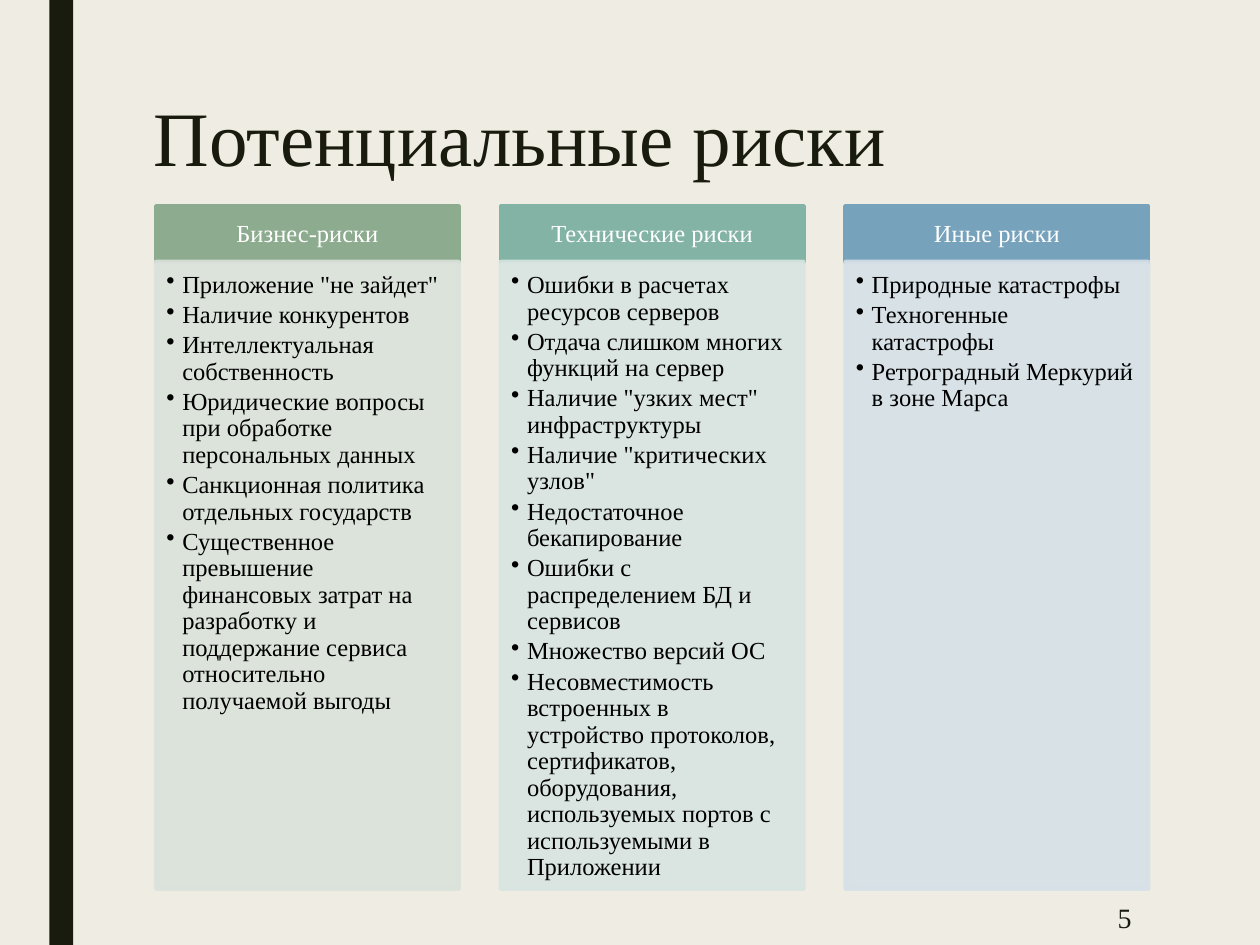
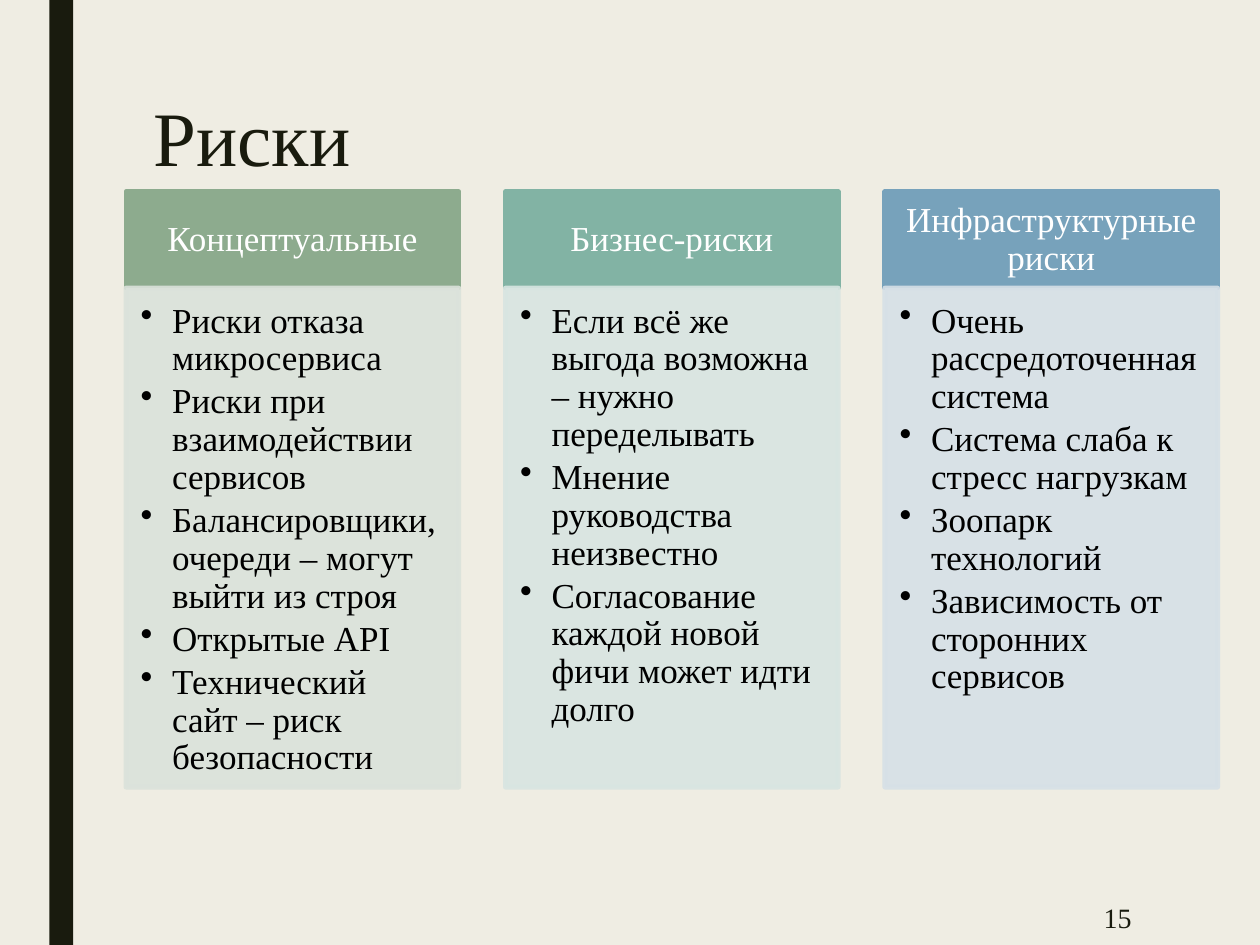
"""Build two slides that sort project risks into columns."""
from dataclasses import dataclass

from lxml import etree
from pptx import Presentation
from pptx.dml.color import RGBColor
from pptx.enum.shapes import MSO_SHAPE
from pptx.enum.text import MSO_ANCHOR, MSO_AUTO_SIZE, PP_ALIGN
from pptx.oxml.ns import qn
from pptx.util import Pt

RECT = MSO_SHAPE.RECTANGLE
TOP, MIDDLE = MSO_ANCHOR.TOP, MSO_ANCHOR.MIDDLE
LEFT, CENTER, RIGHT = PP_ALIGN.LEFT, PP_ALIGN.CENTER, PP_ALIGN.RIGHT
NO_FIT = MSO_AUTO_SIZE.NONE


@dataclass(frozen=True)
class Theme:
    """Colours, font and type sizes of the deck."""
    font: str = "Times New Roman"
    paper: str = "EFEDE3"
    ink: str = "191B0E"
    white: str = "FFFFFF"
    black: str = "000000"
    heads: tuple = ("8DAB8E", "82B3A4", "77A2BB")
    tints: tuple = ("DBE2DB", "D8E5E1", "D6E0E7")
    title: int = 44
    number: int = 16
    edge: float = 2.75


@dataclass(frozen=True)
class Grid:
    """Place and type size of a row of columns, in points."""
    left: float
    top: float
    width: float
    head: float
    body: float
    size: int
    indent: float


THEME = Theme()

SLIDES = [
    ("Потенциальные риски", "5", Grid(89.3, 118, 172.8, 31.75, 358, 14, 9), [
        ("Бизнес-риски", [
            'Приложение "не зайдет"',
            "Наличие конкурентов",
            "Интеллектуальная собственность",
            "Юридические вопросы при обработке персональных данных",
            "Санкционная политика отдельных государств",
            "Существенное превышение финансовых затрат на разработку и "
            "поддержание сервиса относительно получаемой выгоды",
        ]),
        ("Технические риски", [
            "Ошибки в расчетах ресурсов серверов",
            "Отдача слишком многих функций на сервер",
            'Наличие "узких мест" инфраструктуры',
            'Наличие "критических узлов"',
            "Недостаточное бекапирование",
            "Ошибки с распределением БД и сервисов",
            "Множество версий ОС",
            "Несовместимость встроенных в устройство протоколов, "
            "сертификатов, оборудования, используемых портов с "
            "используемыми в Приложении",
        ]),
        ("Иные риски", [
            "Природные катастрофы",
            "Техногенные катастрофы",
            "Ретроградный Меркурий в зоне Марса",
        ]),
    ]),
    ("Риски", "15", Grid(72, 109.6, 190.2, 55, 285.2, 20, 18), [
        ("Концептуальные", [
            "Риски отказа микросервиса",
            "Риски при взаимодействии сервисов",
            "Балансировщики, очереди – могут выйти из строя",
            "Открытые API",
            "Технический сайт – риск безопасности",
        ]),
        ("Бизнес-риски", [
            "Если всё же выгода возможна – нужно переделывать",
            "Мнение руководства неизвестно",
            "Согласование каждой новой фичи может идти долго",
        ]),
        ("Инфраструктурные риски", [
            "Очень рассредоточенная система",
            "Система слаба к стресс нагрузкам",
            "Зоопарк технологий",
            "Зависимость от сторонних сервисов",
        ]),
    ]),
]


def set_frame(frame, anchor, insets):
    """Set wrapping, anchor and insets (left, top, right, bottom)."""
    frame.word_wrap = True
    frame.auto_size = NO_FIT
    frame.vertical_anchor = anchor
    sides = [Pt(inset) for inset in insets]
    (frame.margin_left, frame.margin_top,
     frame.margin_right, frame.margin_bottom) = sides


def set_lines(frame, lines, size, color, align, spacing=1.0, after=0, indent=0):
    """Write one paragraph per line, with bullets if an indent is given."""
    for index, line in enumerate(lines):
        para = frame.add_paragraph() if index else frame.paragraphs[0]
        para.text = line
        if indent:
            props = para._p.get_or_add_pPr()
            props.set("marL", str(Pt(indent)))
            props.set("indent", str(-Pt(indent)))
            etree.SubElement(props, qn("a:buChar")).set("char", "•")
        para.alignment = align
        para.line_spacing = spacing
        para.space_before = Pt(0)
        para.space_after = Pt(after)
        font = para.font
        font.name, font.size = THEME.font, Pt(size)
        font.color.rgb = RGBColor.from_string(color)


def add_box(slide, left, top, width, height, color, edge=0):
    """Add a flat rectangle, outlined in its own colour if edge is given."""
    box = slide.shapes.add_shape(RECT, Pt(left), Pt(top), Pt(width), Pt(height))
    box.shadow.inherit = False
    rgb = RGBColor.from_string(color)
    box.fill.solid()
    box.fill.fore_color.rgb = rgb
    if edge:
        box.line.color.rgb = rgb
        box.line.width = Pt(edge)
    else:
        box.line.fill.background()
    return box


def set_alpha(shape, percent):
    """Make the fill and line of a shape partly opaque."""
    for color in shape.element.spPr.iter(qn("a:srgbClr")):
        etree.SubElement(color, qn("a:alpha")).set("val", str(percent * 1000))


def add_column(slide, grid, index, head, items):
    """Add a heading box with a tinted list below it."""
    left = grid.left + index * grid.width * 1.14
    size = grid.size
    side, rise, pad, foot = (size * k for k in (0.57, 0.32, 0.42, 0.6))
    cap = add_box(slide, left, grid.top, grid.width, grid.head,
                  THEME.heads[index], THEME.edge)
    set_frame(cap.text_frame, MIDDLE, (side, rise, side, rise))
    set_lines(cap.text_frame, [head], size, THEME.white, CENTER, 0.9)
    body = add_box(slide, left, grid.top + grid.head, grid.width, grid.body,
                   THEME.tints[index], THEME.edge)
    set_alpha(body, 90)
    set_frame(body.text_frame, TOP, (pad, pad, side, foot))
    set_lines(body.text_frame, items, size, THEME.black, LEFT, 0.9,
              size * 0.15, grid.indent)


def set_title(slide, text):
    """Place and format the slide title."""
    title = slide.shapes.title
    title.left, title.top = Pt(80.64), Pt(54)
    title.width, title.height = Pt(567.36), Pt(54.72)
    set_frame(title.text_frame, TOP, (7.2, 3.6, 7.2, 3.6))
    set_lines(title.text_frame, [text], THEME.title, THEME.ink, LEFT, 0.89)


def add_number(slide, text):
    """Add the page number at the lower right."""
    box = slide.shapes.add_textbox(Pt(559.4), Pt(508.3), Pt(94.3), Pt(31.7))
    set_frame(box.text_frame, MIDDLE, (7.2, 3.6, 7.2, 3.6))
    set_lines(box.text_frame, [text], THEME.number, THEME.ink, RIGHT)


def set_layout(deck, layout):
    """Give the layout its paper colour and the dark side band."""
    fill = layout.background.fill
    fill.solid()
    fill.fore_color.rgb = RGBColor.from_string(THEME.paper)
    band = add_box(deck.slides[0], 28.2, 0, 13.6, 540, THEME.ink)
    layout.shapes.element.insert(2, band.element)


def main():
    """Build and save the deck."""
    deck = Presentation()
    deck.slide_width, deck.slide_height = Pt(720), Pt(540)
    layout = deck.slide_layouts[5]
    for title, number, grid, columns in SLIDES:
        slide = deck.slides.add_slide(layout)
        set_title(slide, title)
        add_number(slide, number)
        for index, (head, items) in enumerate(columns):
            add_column(slide, grid, index, head, items)
    set_layout(deck, layout)
    deck.save("out.pptx")


if __name__ == "__main__":
    main()
